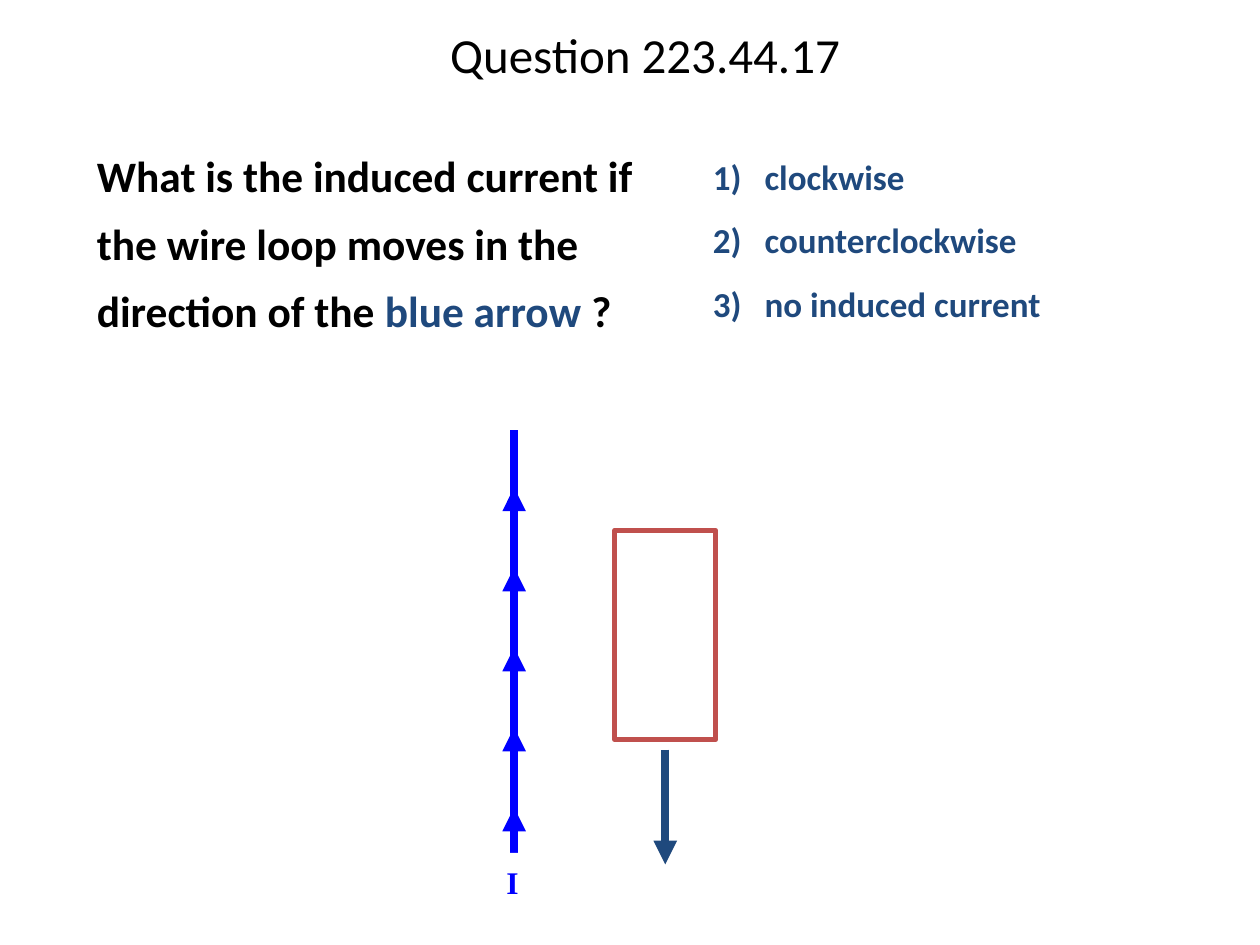
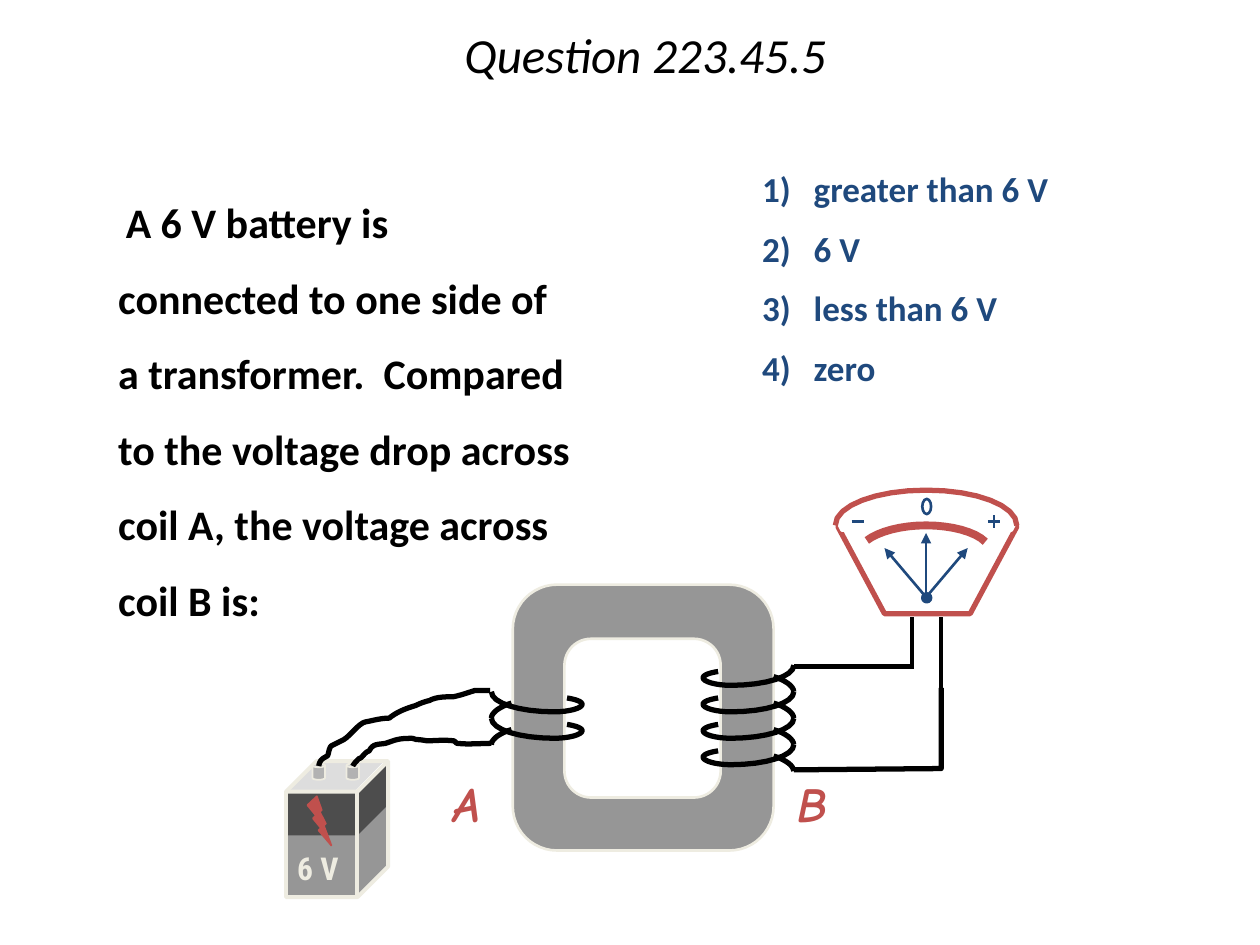
"""Build two physics question slides on induction and transformers."""
from dataclasses import dataclass

from lxml.etree import SubElement
from pptx import Presentation
from pptx.dml.color import RGBColor
from pptx.enum.shapes import MSO_CONNECTOR as Connector, MSO_SHAPE as Preset
from pptx.enum.text import MSO_ANCHOR as Anchor, PP_ALIGN as Align
from pptx.oxml.ns import qn
from pptx.util import Inches, Pt

BLACK = RGBColor(0x00, 0x00, 0x00)
WHITE = RGBColor(0xFF, 0xFF, 0xFF)
NAVY = RGBColor(0x1F, 0x49, 0x7D)
BLUE = RGBColor(0x00, 0x00, 0xFF)
RED = RGBColor(0xC0, 0x50, 0x4D)
CREAM = RGBColor(0xEE, 0xEC, 0xE1)
DARK_GREY = RGBColor(0x4D, 0x4D, 0x4D)
MID_GREY = RGBColor(0x96, 0x96, 0x96)
CAP_GREY = RGBColor(0xB2, 0xB2, 0xB2)
LIGHT_GREY = RGBColor(0xDD, 0xDD, 0xDD)

Point = tuple[float, float]
Box = tuple[float, float, float, float]


@dataclass(frozen=True)
class Stroke:
    """Colour and width of a line."""
    color: RGBColor
    width: float


@dataclass(frozen=True)
class Style:
    """Look of a run of text."""
    size: float
    color: RGBColor = BLACK
    bold: bool = True
    italic: bool = False
    font: str = "Calibri"


@dataclass(frozen=True)
class Label:
    """Short unwrapped text on a drawing."""
    text: str
    box: Box
    style: Style
    spacing: float = 1.0


@dataclass(frozen=True)
class Solid:
    """Preset shape with its look."""
    preset: Preset
    box: Box
    fill: RGBColor | None = None
    stroke: Stroke | None = None
    adjust: float | None = None


@dataclass(frozen=True)
class Question:
    """Wording and layout of a question with numbered answers."""
    title: str
    italic_title: bool
    prompt: list[tuple[str, Style]]
    prompt_box: Box
    prompt_top: float
    prompt_indent: float
    prompt_spacing: float
    answers: list[str]
    answer_box: Box
    answer_spacing: float


@dataclass(frozen=True)
class Coil:
    """Turns of wire around one leg of the core."""
    outer: float
    inward: int
    first: float
    turns: int


WIRE = Stroke(BLACK, 3)
LEAD = Stroke(BLACK, 2.25)
CURRENT = Stroke(BLUE, 4.5)
MOTION = Stroke(NAVY, 4.5)
NEEDLE = Stroke(NAVY, 1.5)
FRAME = Stroke(RED, 3)
SCALE = Stroke(RED, 4.5)
CORE_EDGE = Stroke(CREAM, 1.5)
POLE_EDGE = Stroke(CREAM, 1)
COIL_NAME = Style(28, RED, italic=True, font="Comic Neue")

TITLE_BOX = (0.72, 0, 8.8, 0.92)
TURN_PITCH = 0.21
CURVE_STEPS = 8

INDUCTION = Question(
    "Question 223.44.17", False,
    [("What is the induced current if the wire loop moves in the direction of the ", Style(24.8)),
     ("blue arrow ", Style(24.8, NAVY)), ("?", Style(24.8))],
    (0.23, 1.01, 5.01, 2.1), 0.05, 0, 1.3,
    ["clockwise", "counterclockwise", "no induced current"], (5.56, 1.15, 4.12, 1.53), 1.1)
TRANSFORMER = Question(
    "Question 223.45.5", True,
    [("A 6 V battery is connected to one side of a transformer.  Compared to the voltage drop "
      "across coil A, the voltage across coil B is:", Style(24))],
    (0.4, 0.93, 4.23, 2.39), 0.43, 0.06, 1.5,
    ["greater than 6 V", "6 V", "less than 6 V", "zero"], (5.95, 1.28, 3.56, 1.95), 1.0)

BATTERY = [
    Solid(Preset.PARALLELOGRAM, (2.29, 6.04, 0.76, 0.24), LIGHT_GREY, adjust=0.98),
    Solid(Preset.RECTANGLE, (2.28, 6.29, 0.54, 0.48), DARK_GREY),
    Solid(Preset.RECTANGLE, (2.28, 6.63, 0.55, 0.48), MID_GREY),
]
BATTERY_TRIM = [
    Solid(Preset.CUBE, (2.27, 6.04, 0.81, 1.08), stroke=Stroke(CREAM, 2.25), adjust=0.3),
    *(Solid(Preset.CAN, (left, 6.06, 0.1, 0.13), CAP_GREY, POLE_EDGE, 0.3) for left in (2.48, 2.75)),
    Solid(Preset.LIGHTNING_BOLT, (2.44, 6.32, 0.19, 0.39), RED, Stroke(RED, 1)),
]
CORE = [
    Solid(Preset.ROUNDED_RECTANGLE, (4.07, 4.64, 2.07, 2.11), MID_GREY, CORE_EDGE, 0.17),
    Solid(Preset.ROUNDED_RECTANGLE, (4.48, 5.07, 1.24, 1.26), WHITE, CORE_EDGE, 0.17),
]
COILS = [Coil(6.3, -1, 5.49, 4), Coil(3.9, 1, 5.7, 2)]
BATTERY_CABLES = [
    [(2.53, 6.08), (2.54, 6.03), (2.56, 6.02), (2.6, 6), (2.61, 5.98), (2.61, 5.94), (2.63, 5.92),
     (2.65, 5.91), (2.71, 5.88), (2.73, 5.87), (2.78, 5.84), (2.85, 5.74), (2.9, 5.73),
     (2.96, 5.72), (3.02, 5.7), (3.09, 5.7), (3.15, 5.65), (3.23, 5.62), (3.3, 5.6),
     (3.34, 5.58), (3.37, 5.57), (3.41, 5.56), (3.46, 5.53), (3.55, 5.53), (3.6, 5.53),
     (3.65, 5.52), (3.71, 5.5), (3.77, 5.48), (3.81, 5.48), (3.89, 5.48), (3.89, 5.48)],
    [(2.8, 6.08), (2.81, 6.06), (2.83, 6.04), (2.85, 6.02), (2.86, 6.02), (2.87, 6.01),
     (2.87, 6.01), (2.89, 5.99), (2.9, 5.97), (2.93, 5.96), (2.96, 5.9), (3, 5.91), (3.06, 5.9),
     (3.15, 5.87), (3.16, 5.86), (3.27, 5.86), (3.28, 5.86), (3.3, 5.87), (3.31, 5.87),
     (3.34, 5.87), (3.39, 5.88), (3.39, 5.88), (3.42, 5.88), (3.54, 5.87), (3.6, 5.88),
     (3.61, 5.88), (3.62, 5.9), (3.63, 5.9), (3.72, 5.91), (3.81, 5.9), (3.9, 5.9)],
]


def inches(values) -> list:
    """Convert plain numbers to lengths."""
    return [Inches(value) for value in values]


def paint(shape, fill: RGBColor | None, stroke: Stroke | None) -> None:
    """Give a shape its fill and outline without shadow."""
    shape.shadow.inherit = False
    if fill is None:
        shape.fill.background()
    else:
        shape.fill.solid()
        shape.fill.fore_color.rgb = fill
    if stroke is None:
        shape.line.fill.background()
    else:
        shape.line.color.rgb = stroke.color
        shape.line.width = Pt(stroke.width)


def draw_solid(slide, solid: Solid):
    """Draw a preset shape."""
    shape = slide.shapes.add_shape(solid.preset, *inches(solid.box))
    if solid.adjust is not None:
        shape.adjustments[0] = solid.adjust
    paint(shape, solid.fill, solid.stroke)
    return shape


def draw_outline(slide, points: list[Point], stroke: Stroke | None = None,
                 fill: RGBColor | None = None, close: bool = False) -> None:
    """Draw a freeform through the points."""
    start, *others = [tuple(inches(point)) for point in points]
    builder = slide.shapes.build_freeform(*start)
    builder.add_line_segments(others, close=close)
    paint(builder.convert_to_shape(), fill, stroke)


def draw_curve(slide, controls: list[Point], stroke: Stroke) -> None:
    """Draw a chain of cubic curves: a start and three controls for each curve."""
    points = [controls[0]]
    for first in range(0, len(controls) - 1, 3):
        corners = controls[first:first + 4]
        for step in range(1, CURVE_STEPS + 1):
            t = step / CURVE_STEPS
            weights = ((1 - t) ** 3, 3 * t * (1 - t) ** 2, 3 * t ** 2 * (1 - t), t ** 3)
            points.append(tuple(sum(w * corner[axis] for w, corner in zip(weights, corners))
                                for axis in (0, 1)))
    draw_outline(slide, points, stroke)


def draw_line(slide, start: Point, end: Point, stroke: Stroke, arrow: bool = False) -> None:
    """Draw a straight line, with an arrowhead at its end if asked."""
    line = slide.shapes.add_connector(Connector.STRAIGHT, *inches(start + end))
    line.line.color.rgb = stroke.color
    line.line.width = Pt(stroke.width)
    if arrow:
        SubElement(line.line._get_or_add_ln(), qn("a:tailEnd"), type="triangle")
    SubElement(line._element.spPr, qn("a:effectLst"))


def add_run(paragraph, text: str, style: Style) -> None:
    """Append a styled run."""
    run = paragraph.add_run()
    run.text = text
    font = run.font
    font.name, font.size, font.color.rgb = style.font, Pt(style.size), style.color
    font.bold, font.italic = style.bold, style.italic


def add_frame(slide, box: Box, wrap: bool = True):
    """Add a text box and return its frame."""
    frame = slide.shapes.add_textbox(*inches(box)).text_frame
    frame.word_wrap = wrap
    return frame


def write_label(slide, label: Label) -> None:
    """Write a short label."""
    paragraph = add_frame(slide, label.box, wrap=False).paragraphs[0]
    paragraph.line_spacing = label.spacing
    add_run(paragraph, label.text, label.style)


def write_question(slide, question: Question) -> None:
    """Write the title, prompt and numbered answers."""
    frame = add_frame(slide, TITLE_BOX)
    frame.vertical_anchor = Anchor.MIDDLE
    title = frame.paragraphs[0]
    title.alignment, title.line_spacing = Align.CENTER, 0.9
    add_run(title, question.title, Style(28, bold=False, italic=question.italic_title))

    frame = add_frame(slide, question.prompt_box)
    frame.margin_top = Inches(question.prompt_top)
    prompt = frame.paragraphs[0]
    prompt.line_spacing = question.prompt_spacing
    margins = prompt._p.get_or_add_pPr()
    margins.set("marL", str(Inches(0.44)))
    margins.set("indent", str(Inches(question.prompt_indent)))
    for text, style in question.prompt:
        add_run(prompt, text, style)

    frame = add_frame(slide, question.answer_box)
    for index, text in enumerate(question.answers):
        answer = frame.add_paragraph() if index else frame.paragraphs[0]
        answer.line_spacing = question.answer_spacing
        answer.space_before = Pt(10 if index else 0)
        numbering = answer._p.get_or_add_pPr()
        numbering.set("marL", str(Inches(0.41)))
        numbering.set("indent", str(-Inches(0.41)))
        SubElement(numbering, qn("a:buFont"), typeface="Calibri")
        SubElement(numbering, qn("a:buAutoNum"), type="arabicParenR")
        add_run(answer, text, Style(20, NAVY))


def draw_wire_and_loop(slide) -> None:
    """Draw the current-carrying wire beside the moving loop."""
    wire_x, loop_x = 4.08, 5.28
    for index in range(5):
        tip = 3.87 + 2.54 * index / 4
        draw_line(slide, (wire_x, tip + 0.72), (wire_x, tip), CURRENT, arrow=True)
    draw_line(slide, (wire_x, 4.14), (wire_x, 3.41), CURRENT)
    draw_solid(slide, Solid(Preset.RECTANGLE, (4.88, 4.21, 0.8, 1.66), WHITE, FRAME))
    draw_line(slide, (loop_x, 5.95), (loop_x, 6.86), MOTION, arrow=True)
    current_box = (3.92, 6.77, 0.33, 0.54)
    draw_solid(slide, Solid(Preset.RECTANGLE, current_box, WHITE))
    write_label(slide, Label("I", current_box, Style(18, BLUE, font="Times New Roman"), 1.11))


def draw_battery(slide) -> None:
    """Draw the battery body, poles and bolt."""
    for solid in BATTERY:
        draw_solid(slide, solid)
    for top, fill in ((6.05, DARK_GREY), (6.39, MID_GREY)):
        side = [(2.84, top + 0.24), (2.84, top + 0.71), (3.08, top + 0.47), (3.08, top)]
        draw_outline(slide, side, fill=fill, close=True)
    for solid in BATTERY_TRIM:
        draw_solid(slide, solid)


def draw_meter(slide) -> None:
    """Draw the voltmeter with its scale, needles and leads."""
    draw_outline(slide, [(6.65, 4.18), (7.02, 4.87), (7.7, 4.87), (8.07, 4.18)], FRAME, close=True)
    draw_outline(slide, [(6.64, 4.13), (6.68, 4.21), (8.03, 4.21), (8.07, 4.13)],
                 Stroke(WHITE, 1.5), WHITE, close=True)
    draw_curve(slide, [(6.63, 4.17), (6.63, 4.01), (6.96, 3.89), (7.35, 3.89),
                       (7.75, 3.89), (8.07, 4.01), (8.07, 4.17)], FRAME)
    draw_curve(slide, [(6.88, 4.29), (6.97, 4.22), (7.15, 4.17), (7.35, 4.17),
                       (7.55, 4.17), (7.74, 4.22), (7.82, 4.3)], SCALE)
    draw_solid(slide, Solid(Preset.OVAL, (7.32, 4.71, 0.07, 0.07), NAVY, NEEDLE))
    for tip in ((7.35, 4.23), (7.68, 4.35), (7.02, 4.35)):
        draw_line(slide, (7.35, 4.74), tip, NEEDLE, arrow=True)
    for start, end in (((6.76, 4.14), (6.86, 4.14)), ((7.84, 4.14), (7.94, 4.14)),
                       ((7.89, 4.19), (7.89, 4.09))):
        draw_line(slide, start, end, NEEDLE)
    draw_solid(slide, Solid(Preset.OVAL, (7.32, 3.96, 0.07, 0.12), stroke=NEEDLE))
    for lead_x, bottom in ((7.24, 5.29), (7.47, 5.47)):
        draw_line(slide, (lead_x, 4.9), (lead_x, bottom), LEAD)


def draw_coil(slide, coil: Coil) -> None:
    """Draw each turn as a tail behind the core and a hook around it."""
    tail = [(0, 0), (0, 0.04), (0.06, 0.09), (0.16, 0.12)]
    hook = [(0, 0.21), (0, 0.12), (0.22, 0.05), (0.5, 0.05), (0.62, 0.05), (0.72, 0.08),
            (0.72, 0.11), (0.72, 0.13), (0.67, 0.15), (0.6, 0.16)]
    for turn in range(coil.turns):
        base = coil.first + turn * TURN_PITCH
        for part in (tail, hook):
            draw_curve(slide, [(coil.outer + coil.inward * depth, base - rise)
                               for depth, rise in part], WIRE)


def draw_transformer(slide) -> None:
    """Draw the battery, transformer and voltmeter circuit."""
    draw_battery(slide)
    for name, left in (("A", 3.5), ("B", 6.23)):
        write_label(slide, Label(name, (left, 6.09, 0.47, 0.57), COIL_NAME))
    draw_meter(slide)
    for solid in CORE:
        draw_solid(slide, solid)
    for coil in COILS:
        draw_coil(slide, coil)
    draw_line(slide, (6.3, 5.29), (7.25, 5.29), WIRE)
    draw_outline(slide, [(6.3, 6.11), (7.47, 6.1), (7.47, 5.46)], WIRE)
    for cable in BATTERY_CABLES:
        draw_curve(slide, cable, WIRE)
    write_label(slide, Label("6 V", (2.26, 6.66, 0.62, 0.54),
                             Style(18, CREAM, font="Roboto Condensed"), 1.11))


def main() -> None:
    """Build and save both slides."""
    deck = Presentation()
    deck.slide_width, deck.slide_height = Inches(10), Inches(7.5)
    for question, draw in ((INDUCTION, draw_wire_and_loop), (TRANSFORMER, draw_transformer)):
        slide = deck.slides.add_slide(deck.slide_layouts[6])
        write_question(slide, question)
        draw(slide)
    deck.save("out.pptx")


if __name__ == "__main__":
    main()
